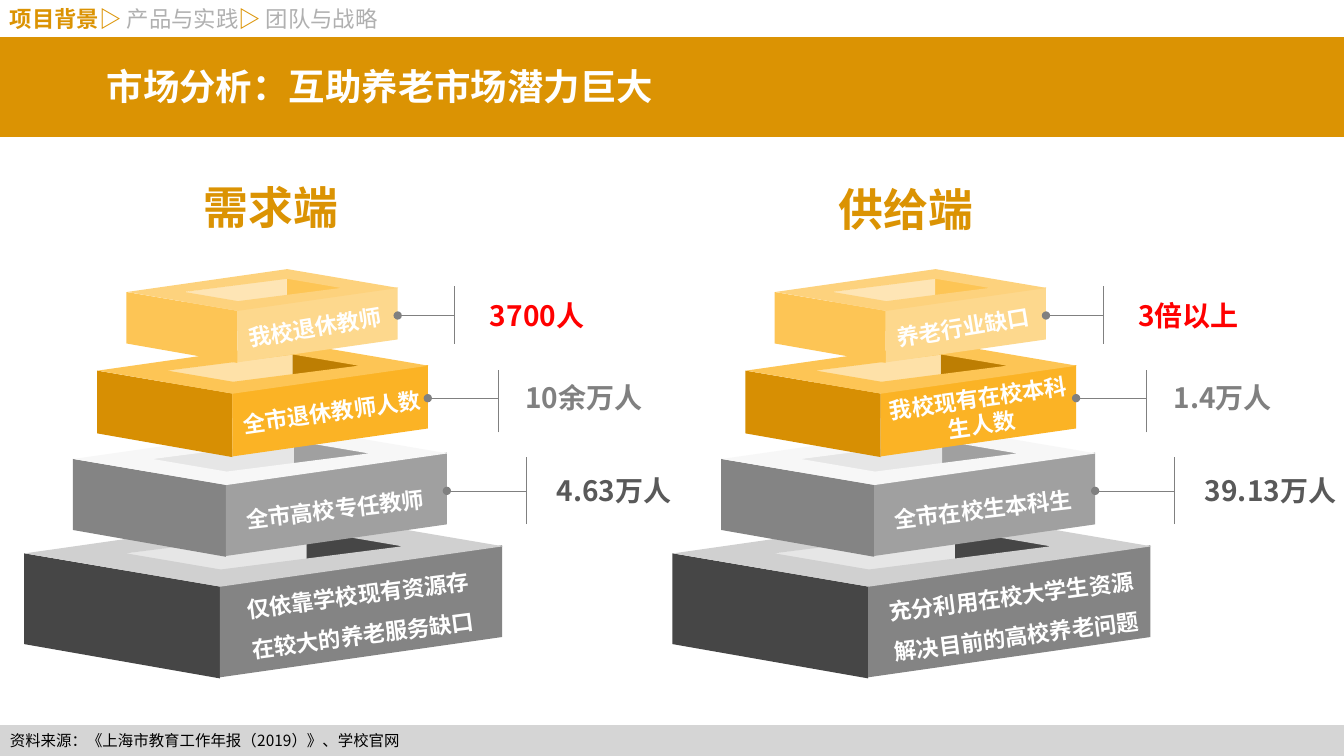
from dataclasses import dataclass

from lxml.etree import SubElement
from pptx import Presentation
from pptx.dml.color import RGBColor
from pptx.enum.shapes import MSO_CONNECTOR, MSO_SHAPE
from pptx.enum.text import MSO_ANCHOR, MSO_AUTO_SIZE, PP_ALIGN
from pptx.oxml.ns import qn
from pptx.util import Inches, Pt


@dataclass(frozen=True)
class Theme:
    font: str = "Noto Sans CJK SC"
    nav_font: str = "Arial"
    brand: str = "DB9303"
    white: str = "FFFFFF"
    black: str = "000000"
    footer: str = "D5D5D5"
    muted: str = "B0B0B0"
    rule: str = "808080"
    alert: str = "FF0000"
    dark: str = "595959"
    title_size: int = 26
    heading_size: int = 32
    figure_size: int = 20
    label_size: int = 16
    source_size: int = 11


class SlideBuilder:
    def __init__(self, slide, theme):
        self.slide, self.theme = slide, theme
        self.shapes = slide.shapes

    def start_group(self):
        self.shapes = self.slide.shapes.add_group_shape().shapes

    def end_group(self):
        self.shapes = self.slide.shapes

    def fill_text(self, frame, paragraphs, size, font=None, align=PP_ALIGN.LEFT, spacing=None):
        """Each paragraph is a list of (text, colour, bold) runs."""
        for number, runs in enumerate(paragraphs):
            paragraph = frame.add_paragraph() if number else frame.paragraphs[0]
            paragraph.alignment = align
            if spacing:
                paragraph.line_spacing = spacing
            for text, color, bold in runs:
                run = paragraph.add_run()
                run.text = text
                style = {"name": font or self.theme.font, "size": Pt(size), "bold": bold}
                for key, value in style.items():
                    setattr(run.font, key, value)
                run.font.color.rgb = RGBColor.from_string(color)
                SubElement(run._r.get_or_add_rPr(), qn("a:ea"), typeface=self.theme.font)

    def text(self, box, paragraphs, size, rotation=0, frame_format=None, **style):
        holder = self.shapes.add_textbox(*map(Inches, box))
        holder.rotation = rotation
        settings = {"word_wrap": True, "auto_size": MSO_AUTO_SIZE.SHAPE_TO_FIT_TEXT}
        settings.update(frame_format or {})
        for key, value in settings.items():
            setattr(holder.text_frame, key, value)
        self.fill_text(holder.text_frame, paragraphs, size, **style)

    def band(self, box, color, line_width):
        bar = self.shapes.add_shape(MSO_SHAPE.RECTANGLE, *map(Inches, box))
        bar.shadow.inherit = False
        bar.fill.solid()
        bar.fill.fore_color.rgb = bar.line.color.rgb = RGBColor.from_string(color)
        bar.line.width = Pt(line_width)
        return bar

    def face(self, contours, color):
        corners = [[(Inches(x), Inches(y)) for x, y in contour] for contour in contours]
        builder = self.shapes.build_freeform(*corners[0][0])
        for number, (first, *rest) in enumerate(corners):
            if number:
                builder.move_to(*first)
            builder.add_line_segments(rest, close=True)
        panel = builder.convert_to_shape()
        panel.shadow.inherit = False
        panel.fill.solid()
        panel.fill.fore_color.rgb = RGBColor.from_string(color)
        panel.line.fill.background()

    def line(self, start, end, dot=False):
        rule = self.shapes.add_connector(MSO_CONNECTOR.STRAIGHT, *map(Inches, start + end))
        rule.line.color.rgb = RGBColor.from_string(self.theme.rule)
        rule.line.width = Pt(0.5)
        properties = rule._element.spPr
        if dot:
            SubElement(properties.find(qn("a:ln")), qn("a:tailEnd"), type="oval")
        SubElement(properties, qn("a:effectLst"))


# Faces of the largest tier, from its top left corner; smaller tiers are scaled
FACES = [
    [[(3.73, 0.31), (3.73, 1.22), (2.79, 0.86), (2.79, 0.15)]],
    [[(2.79, 0.16), (2.79, 0.87), (0.99, 1.31), (0.99, 0.4)]],
    [[(1.93, 0.73), (1.93, 1.64), (-0.01, 1.3), (-0.01, 0.4)]],
    [[(4.73, 0.32), (4.73, 1.23), (1.93, 1.63), (1.93, 0.72)]],
    [[(2.8, 0), (4.74, 0.33), (1.94, 0.73), (0, 0.4)],
     [(1, 0.4), (1.94, 0.56), (3.74, 0.33), (2.8, 0.17)]],
]
FULL_WIDTH = 4.74
RIGHT_EDGE = 4.73
TOWER_STEP = 6.43

MIDDLE = {"vertical_anchor": MSO_ANCHOR.MIDDLE}
NO_MARGINS = {f"margin_{side}": 0 for side in ("left", "top", "right", "bottom")}

# Tiers from bottom to top: place, width, face colours, label style, callout
# callout: bar x, bar top, bar bottom, leader y, figure box, figure colour
TIERS = [
    dict(left=0.25, top=5.09, width=4.74,
         colors=["464646", "E6E6E6", "464646", "848484", "D0D0D0"],
         rotation=352.6, frame_format=MIDDLE, style={"spacing": 1.5}, callout=None),
    dict(left=0.73, top=4.24, width=3.71,
         colors=["A0A0A0", "E6E6E6", "848484", "A0A0A0", "F7F7F7"],
         rotation=353.3, frame_format=MIDDLE, style={"spacing": 1.5},
         callout=(5.22, 4.53, 5.2, 4.87, (5.52, 4.7, 1.31, 0.34), Theme.dark)),
    dict(left=0.97, top=3.4, width=3.28,
         colors=["BD7E03", "FEE1A8", "D78F03", "FBB325", "FDC555"],
         rotation=352, frame_format=MIDDLE, style={"align": PP_ALIGN.CENTER},
         callout=(4.94, 3.67, 4.29, 3.95, (5.21, 3.78, 1.55, 0.34), Theme.rule)),
    dict(left=1.26, top=2.67, width=2.69,
         colors=["FDC555", "FEE5B5", "FDC555", "FDD88D", "FDD27D"],
         rotation=350.7, frame_format={"word_wrap": False}, style={},
         callout=(4.51, 2.84, 3.41, 3.13, (4.86, 2.96, 1.51, 0.34), Theme.alert)),
]

# Towers: heading with its box, then label lines, label box and figure per tier
TOWERS = [
    ("需求端", (1.92, 1.73, 1.59, 0.64), [
        (["仅依靠学校现有资源存在较大的养老服务缺口"], (2.36, 5.6, 2.49, 0.86), None),
        (["全市高校专任教师"], (2.33, 4.75, 2.05, 0.46), "4.63万人"),
        (["全市退休教师人数"], (2.23, 3.9, 2.12, 0.37), "10余万人"),
        (["我校退休教师"], (2.36, 3.06, 1.55, 0.37), "3700人"),
    ]),
    ("供给端", (8.22, 1.75, 1.59, 0.64), [
        (["充分利用在校大学生资源", "解决目前的高校养老问题"], (2.3, 5.61, 2.76, 0.86), None),
        (["全市在校生本科生"], (2.33, 4.75, 2.05, 0.46), "39.13万人"),
        (["我校现有在校本科生人数"], (2.23, 3.76, 2.12, 0.64), "1.4万人"),
        (["养老行业缺口"], (2.36, 3.06, 1.55, 0.37), "3倍以上"),
    ]),
]


def shifted(box, offset):
    return (box[0] + offset, *box[1:])


def draw_tier(page, tier, label, label_box, figure, offset):
    theme = page.theme
    scale = tier["width"] / FULL_WIDTH
    left, top = tier["left"] + offset, tier["top"]
    for contours, color in zip(FACES, tier["colors"]):
        page.face([[(left + x * scale, top + y * scale) for x, y in contour]
                   for contour in contours], color)
    page.text(shifted(label_box, offset), [[(row, theme.white, True)] for row in label],
              theme.label_size, tier["rotation"], tier["frame_format"], **tier["style"])
    if tier["callout"]:
        bar_x, bar_top, bar_bottom, leader_y, figure_box, color = tier["callout"]
        bar_x += offset
        page.line((bar_x, bar_bottom), (bar_x, bar_top))
        page.line((bar_x, leader_y), (left + RIGHT_EDGE * scale, leader_y), dot=True)
        page.text(shifted(figure_box, offset), [[(figure, color, True)]],
                  theme.figure_size, frame_format=NO_MARGINS)


def main():
    theme = Theme()
    deck = Presentation()
    deck.slide_width, deck.slide_height = Inches(13.33), Inches(7.5)
    page = SlideBuilder(deck.slides.add_slide(deck.slide_layouts[6]), theme)

    # Title band
    page.band((0, 0.37, 13.33, 0.98), theme.brand, 1)
    page.text((0.96, 0.59, 12.37, 0.54),
              [[("市场分析：互助养老市场潜力巨大", theme.white, True)]], theme.title_size)

    # Towers
    for number, (_, _, entries) in enumerate(TOWERS):
        page.start_group()
        for tier, entry in zip(TIERS, entries):
            draw_tier(page, tier, *entry, number * TOWER_STEP)
        page.end_group()

    # Section trail
    page.text((0, 0, 7.21, 0.37),
              [[("项目背景▷ ", theme.brand, True), ("产品与实践", theme.muted, False),
                ("▷ ", theme.brand, True), ("团队与战略", theme.muted, False)]],
              theme.label_size, font=theme.nav_font)

    # Tower headings
    for heading, box, _ in TOWERS:
        page.text(box, [[(heading, theme.brand, True)]], theme.heading_size)

    # Source footer
    footer = page.band((0, 7.2, 13.33, 0.3), theme.footer, 0.75)
    footer.text_frame.vertical_anchor = MSO_ANCHOR.MIDDLE
    page.fill_text(footer.text_frame,
                   [[("资料来源：《上海市教育工作年报（2019）》、学校官网", theme.black, False)]],
                   theme.source_size)
    deck.save("out.pptx")


if __name__ == "__main__":
    main()
